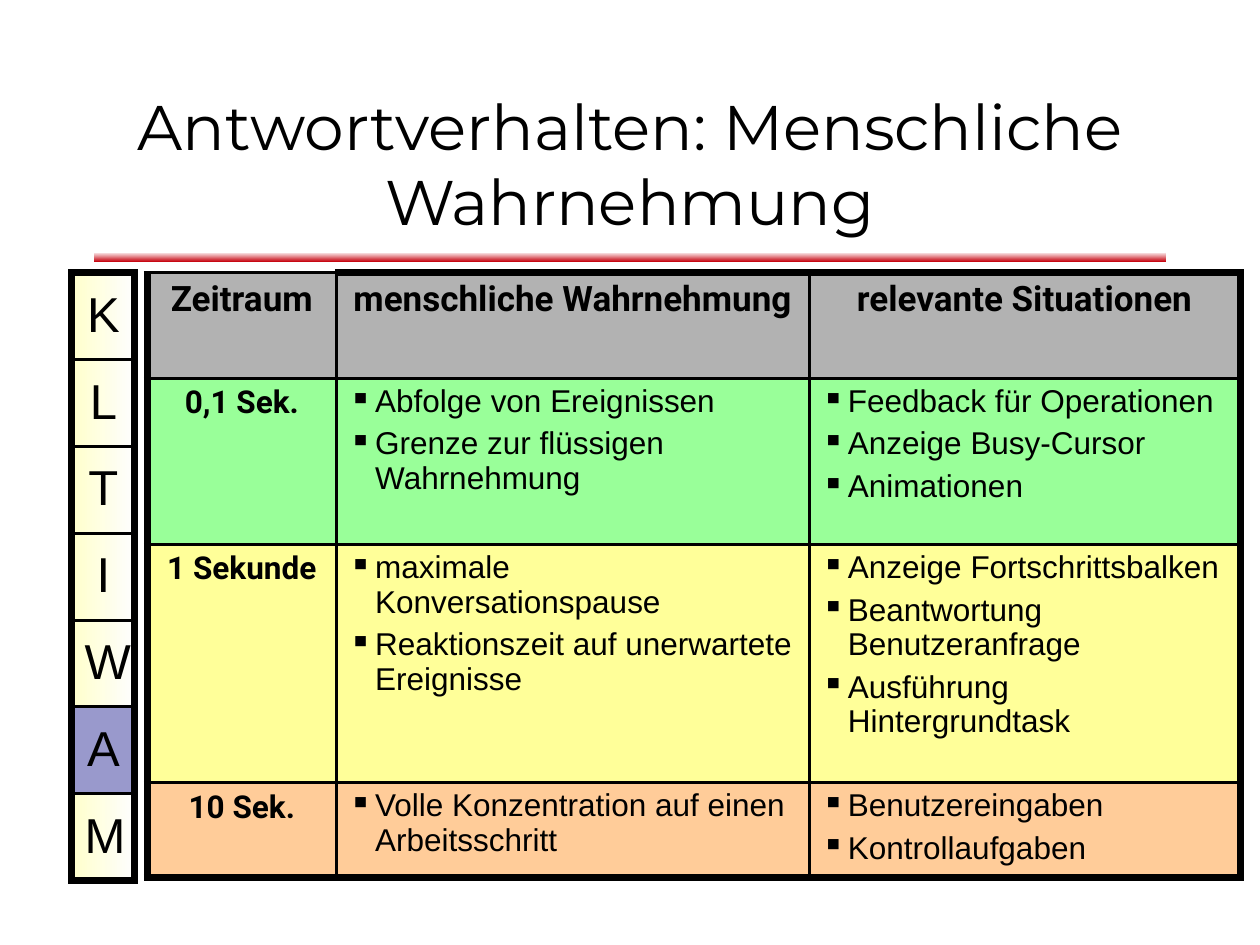
"""Builds a slide on response times and human perception."""
import lxml.etree
import pptx
import pptx.dml.color
import pptx.enum.shapes
import pptx.enum.text
import pptx.oxml.ns
import pptx.util

Cm = pptx.util.Cm
Pt = pptx.util.Pt
qn = pptx.oxml.ns.qn
CENTER = pptx.enum.text.PP_ALIGN.CENTER
MIDDLE = pptx.enum.text.MSO_ANCHOR.MIDDLE
BLACK = "000000"
THIN, THICK = 1.98, 4.48

HEADINGS = ["Zeitraum", "menschliche Wahrnehmung", "relevante Situationen"]
HEADING_FILL = "B2B2B2"
PERIODS = [
    ("0,1 Sek.", "99FF99",
     ["Abfolge von Ereignissen", "Grenze zur flüssigen Wahrnehmung"],
     ["Feedback für Operationen", "Anzeige Busy-Cursor", "Animationen"]),
    ("1 Sekunde", "FFFF99",
     ["maximale Konversationspause", "Reaktionszeit auf unerwartete Ereignisse"],
     ["Anzeige Fortschrittsbalken", "Beantwortung Benutzeranfrage", "Ausführung Hintergrundtask"]),
    ("10 Sek.", "FFCC99",
     ["Volle Konzentration auf einen Arbeitsschritt"],
     ["Benutzereingaben", "Kontrollaufgaben"]),
]
CHAPTERS = "KLTIWAM"
CURRENT_CHAPTER = "A"


def color(value):
    return pptx.dml.color.RGBColor.from_string(value)


def fill_solid(fill, value):
    fill.solid()
    fill.fore_color.rgb = color(value)


def fill_gradient(fill, start, end, angle):
    fill.gradient()
    fill.gradient_angle = angle
    for stop, value in zip(fill.gradient_stops, (start, end)):
        stop.color.rgb = color(value)


def add_run(paragraph, text, font, size, bold=False):
    run = paragraph.add_run()
    run.text = text
    run.font.name = font
    run.font.size = Pt(size)
    run.font.bold = bold
    run.font.color.rgb = color(BLACK)


def add_bullet(paragraph):
    properties = paragraph._p.get_or_add_pPr()
    properties.set("marL", str(Cm(0.53)))
    properties.set("indent", str(-Cm(0.53)))
    bullet_color = lxml.etree.SubElement(properties, qn("a:buClr"))
    lxml.etree.SubElement(bullet_color, qn("a:srgbClr"), val=BLACK)
    lxml.etree.SubElement(properties, qn("a:buChar"), char="▪")


def write_centered(cell, text, font, size, bold=False):
    paragraph = cell.text_frame.paragraphs[0]
    paragraph.alignment = CENTER
    paragraph.line_spacing = 0.98
    add_run(paragraph, text, font, size, bold)


def write_bullets(cell, items):
    frame = cell.text_frame
    for index, item in enumerate(items):
        paragraph = frame.add_paragraph() if index else frame.paragraphs[0]
        add_bullet(paragraph)
        paragraph.line_spacing = 0.98
        if index:
            paragraph.space_before = Pt(4.5)
        add_run(paragraph, item, "Arial", 18)


def set_borders(cell, widths):
    properties = cell._tc.get_or_add_tcPr()
    for index, (side, width) in enumerate(zip("LRTB", widths)):
        line = lxml.etree.Element(qn(f"a:ln{side}"), w=str(Pt(width)))
        solid = lxml.etree.SubElement(line, qn("a:solidFill"))
        lxml.etree.SubElement(solid, qn("a:srgbClr"), val=BLACK)
        properties.insert(index, line)


def frame_table(table):
    """Draw thick outer and thin inner borders, with a thin top on a wide table's corner cell."""
    last_row, last_column = len(table.rows) - 1, len(table.columns) - 1
    for row in range(last_row + 1):
        for column in range(last_column + 1):
            thin_corner = column == 0 and last_column > 0
            outer = (column == 0, column == last_column,
                     row == 0 and not thin_corner, row == last_row)
            set_borders(table.cell(row, column), [THICK if edge else THIN for edge in outer])


def add_table(slide, left, top, widths, heights):
    shape = slide.shapes.add_table(len(heights), len(widths), Cm(left), Cm(top),
                                   Cm(sum(widths)), Cm(sum(heights)))
    table = shape.table
    table.first_row = table.horz_banding = False
    for column, width in zip(table.columns, widths):
        column.width = Cm(width)
    for row, height in zip(table.rows, heights):
        row.height = Cm(height)
    return table


def add_title(slide, text):
    box = slide.shapes.add_textbox(Cm(1.9), Cm(1.63), Cm(21.6), Cm(3.3))
    frame = box.text_frame
    frame.word_wrap = True
    frame.vertical_anchor = MIDDLE
    paragraph = frame.paragraphs[0]
    paragraph.alignment = CENTER
    add_run(paragraph, text, "Montserrat", 36)


def add_title_rule(slide):
    rule = slide.shapes.add_shape(pptx.enum.shapes.MSO_SHAPE.RECTANGLE,
                                  Cm(1.9), Cm(5.08), Cm(21.6), Cm(0.2))
    rule.shadow.inherit = False
    rule.line.fill.background()
    fill_gradient(rule.fill, "C5000B", "FFFFFF", 90)


def add_perception_table(slide):
    table = add_table(slide, 2.97, 5.5, [3.81, 9.53, 8.69], [2.13, 3.35, 4.8, 1.8])
    for column, heading in enumerate(HEADINGS):
        write_centered(table.cell(0, column), heading, "Roboto", 20, True)
    for row, (period, _, perceptions, situations) in enumerate(PERIODS, 1):
        write_centered(table.cell(row, 0), period, "Roboto", 18, True)
        write_bullets(table.cell(row, 1), perceptions)
        write_bullets(table.cell(row, 2), situations)
    fills = [HEADING_FILL] + [period[1] for period in PERIODS]
    for row, value in zip(table.rows, fills):
        for cell in row.cells:
            fill_solid(cell.fill, value)
    frame_table(table)


def add_chapter_table(slide):
    table = add_table(slide, 1.45, 5.5, [1.27], [1.75] * len(CHAPTERS))
    for row, chapter in enumerate(CHAPTERS):
        cell = table.cell(row, 0)
        cell.vertical_anchor = MIDDLE
        write_centered(cell, chapter, "Arial", 28)
        if chapter == CURRENT_CHAPTER:
            fill_solid(cell.fill, "9999CC")
        else:
            fill_gradient(cell.fill, "FFFFCC", "FEFEFE", 0)
    frame_table(table)


def main():
    presentation = pptx.Presentation()
    presentation.slide_width = Cm(25.4)
    presentation.slide_height = Cm(19.05)
    slide = presentation.slides.add_slide(presentation.slide_layouts[6])
    add_title_rule(slide)
    add_title(slide, "Antwortverhalten: Menschliche Wahrnehmung")
    add_perception_table(slide)
    add_chapter_table(slide)
    presentation.save("out.pptx")


if __name__ == "__main__":
    main()
